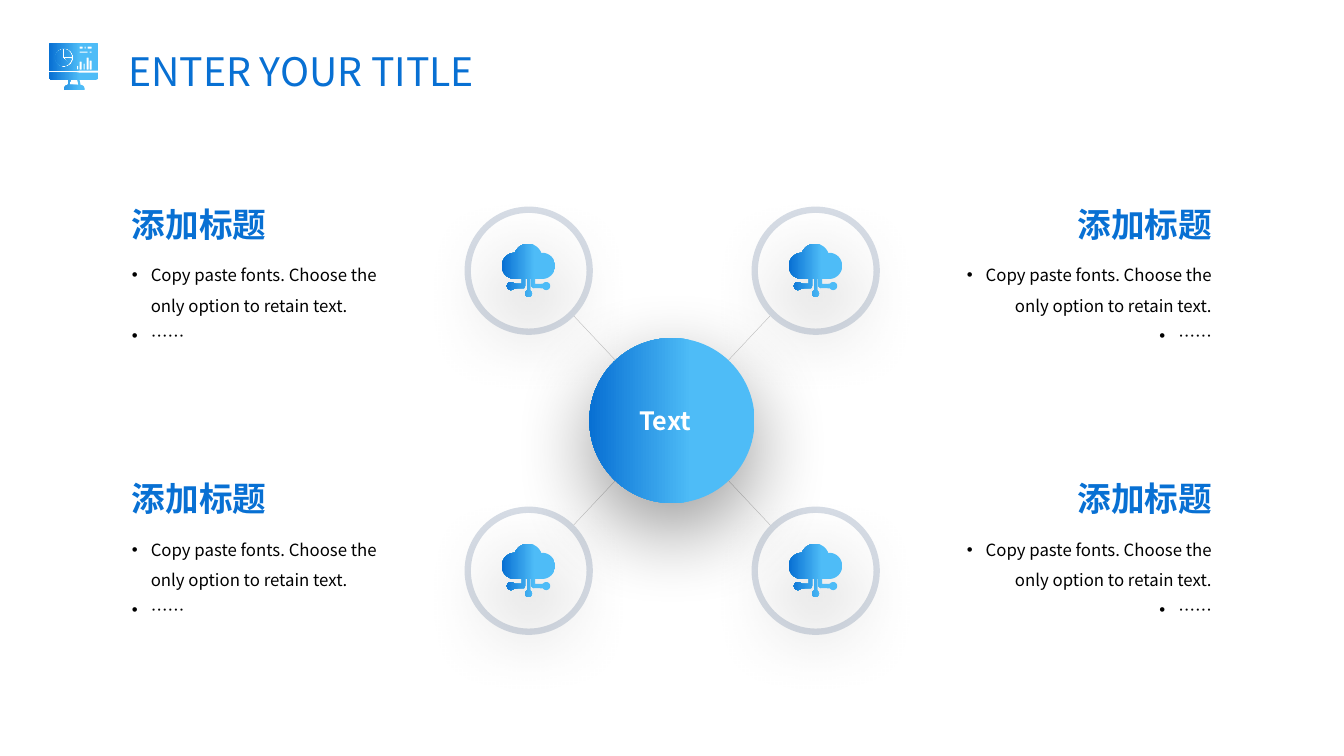
from dataclasses import dataclass
from itertools import product
from math import cos, radians, sin

from lxml.etree import SubElement
from pptx import Presentation
from pptx.dml.color import RGBColor
from pptx.enum.shapes import MSO_CONNECTOR, MSO_SHAPE
from pptx.enum.text import MSO_ANCHOR, PP_ALIGN
from pptx.oxml.ns import qn
from pptx.util import Pt


@dataclass(frozen=True)
class Theme:
    font: str = "Noto Sans CJK SC"
    blue: str = "0870D3"
    sky: str = "4EBCF7"
    ring: str = "D6DCE5"
    rule: str = "BFBFBF"
    white: str = "FFFFFF"
    black: str = "000000"
    title: int = 28
    head: int = 24
    hub: int = 18
    body: int = 12


T = Theme()
UNIT = 0.72  # icon grid step, in points


def rgb(code):
    return RGBColor.from_string(code)


def put(item, values):
    for name, value in values.items():
        setattr(item, name, value)


# Text
def write(frame, lines, size, color, bold=False, align=PP_ALIGN.LEFT,
          dots=False, **form):
    put(frame, form)
    for num, line in enumerate(lines):
        para = frame.paragraphs[0] if num == 0 else frame.add_paragraph()
        para.alignment = align
        if dots:
            props = para._p.get_or_add_pPr()
            props.set("marL", str(Pt(13.5)))
            props.set("indent", str(Pt(-13.5)))
            SubElement(props, qn("a:buFont"), typeface="Arial")
            SubElement(props, qn("a:buChar"), char="•")
            para.line_spacing = 1.5
        run = para.add_run()
        run.text = line
        put(run.font, {"size": Pt(size), "bold": bold, "name": T.font})
        run.font.color.rgb = rgb(color)
        SubElement(run._r.get_or_add_rPr(), qn("a:ea"), typeface=T.font)


def label(slide, box, *args, **form):
    area = slide.shapes.add_textbox(*map(Pt, box))
    write(area.text_frame, *args, **form)


# Fills and effects
def shade(shape, stop=0.38, end=1.0):
    shape.fill.gradient()
    shape.fill.gradient_angle = 180
    marks = zip(shape.fill.gradient_stops, (T.sky, T.blue), (stop, end))
    for mark, code, place in marks:
        mark.color.rgb = rgb(code)
        mark.position = place
    shape.line.fill.background()
    shape.shadow.inherit = False


def glow(shape):
    effects = shape._element.spPr.find(qn("a:effectLst"))
    outer = SubElement(effects, qn("a:outerShdw"), blurRad=str(Pt(60)),
                       dist=str(Pt(20)), dir="5400000", algn="t",
                       rotWithShape="0")
    tint = SubElement(outer, qn("a:srgbClr"), val=T.black)
    SubElement(tint, qn("a:alpha"), val="40000")


# Icon outlines, in grid steps
def arc(x, y, r, start, end, steps=24):
    turns = [radians(start + (end - start) * i / steps)
             for i in range(steps + 1)]
    return [(x + r * cos(a), y + r * sin(a)) for a in turns]


def block(left, top, right, bottom):
    return [(left, top), (right, top), (right, bottom), (left, bottom)]


CLOUD = [[
    *arc(40, 22, 13, 90, -90), *arc(26, 14, 14, -18, -160),
    *arc(13, 22, 13, -90, -270),
    (20, 35), (20, 40), *arc(9, 42, 4, -35, -325), (22, 44), (23, 42),
    (23, 35), (25, 35), *arc(26.5, 49.5, 3.5, -115, -425), (28, 35),
    (29, 35), (29, 42), (31, 44), *arc(44, 42, 4, 145, -145),
    (33, 40), (33, 35),
]]

BARS = [(27, 23, 29, 27), (30, 19, 32, 27), (34, 21, 35, 27),
        (37, 15, 39, 27), (40, 18, 42, 27)]
DASHES = [(30, 9, 38, 10), (40, 9, 42, 10), (30, 4, 33, 6),
          (35, 4, 36, 6), (38, 4, 42, 6)]
SCREEN = [
    [*arc(3, 3, 3, 180, 270), *arc(46, 3, 3, 270, 360), (49, 28), (0, 28)],
    [(0, 30), (49, 30), *arc(46, 34, 3, 0, 90), (30, 37), (31, 42),
     *arc(31, 46, 4, -90, 0), (35, 47), (15, 47), *arc(19, 46, 4, 180, 270),
     (19, 37), *arc(3, 34, 3, 90, 180)],
    [(21, 37), (20, 42), (29, 42), (28, 37)],
    arc(14.5, 15, 9.5, 0, 345),
    [(13.5, 15.5), *arc(14, 15, 8, 45, 265)],
    [(15, 14), *arc(14.5, 14.5, 7.5, -86, -4)],
    [(16, 16), *arc(14.5, 15, 7.5, 8, 42)],
    *[block(*box) for box in BARS + DASHES],
]


def icon(slide, left, top, paths):
    def spot(point):
        return Pt(left + point[0] * UNIT), Pt(top + point[1] * UNIT)

    first, *rest = [[spot(p) for p in path] for path in paths]
    pen = slide.shapes.build_freeform(*first[0], scale=1.0)
    pen.add_line_segments(first[1:], close=True)
    for path in rest:
        pen.move_to(*path[0])
        pen.add_line_segments(path[1:], close=True)
    shape = pen.convert_to_shape()
    shade(shape)
    return shape


# Regions
def header(slide, left, top):
    icon(slide, left, top, SCREEN)
    label(slide, (left + 49.5, top, 277, 41), ["ENTER YOUR TITLE"],
          T.title, T.blue, word_wrap=False)


def spokes(slide, left, top, wide, high):
    for start, end in ((top + high, top), (top, top + high)):
        line = slide.shapes.add_connector(
            MSO_CONNECTOR.STRAIGHT, Pt(left), Pt(start),
            Pt(left + wide), Pt(end))
        line.line.color.rgb = rgb(T.rule)
        line.line.width = Pt(0.25)
        SubElement(line._element.spPr, qn("a:effectLst"))


def node(slide, left, top, size):
    disc = slide.shapes.add_shape(
        MSO_SHAPE.OVAL, *map(Pt, (left, top, size, size)))
    disc.shadow.inherit = False
    disc.fill.solid()
    disc.fill.fore_color.rgb = rgb(T.white)
    disc.line.color.rgb = rgb(T.ring)
    disc.line.width = Pt(4.5)
    glow(icon(slide, left + 24.4, top + 24.3, CLOUD))


def hub(slide, left, top, size):
    disc = slide.shapes.add_shape(
        MSO_SHAPE.OVAL, *map(Pt, (left, top, size, size)))
    shade(disc)
    glow(disc)
    write(disc.text_frame, ["Text"], T.hub, T.white, True, PP_ALIGN.RIGHT,
          vertical_anchor=MSO_ANCHOR.MIDDLE, margin_right=Pt(28.1))


def note(slide, left, top, wide, align):
    label(slide, (left, top, wide, 31.9), ["添加标题"], T.head, T.blue, True,
          align, vertical_anchor=MSO_ANCHOR.BOTTOM, word_wrap=False)
    label(slide, (left, top + 32.4, wide, 77),
          ["Copy paste fonts. Choose the only option to retain text.", "……"],
          T.body, T.black, False, align, True, word_wrap=True)


def main():
    deck = Presentation()
    put(deck, {"slide_width": Pt(960), "slide_height": Pt(540)})
    slide = deck.slides.add_slide(deck.slide_layouts[6])
    spokes(slide, 408.3, 224, 143.3, 152.6)
    for row, col in product(range(2), repeat=2):
        node(slide, 334.1 + 205 * col, 149.8 + 214.3 * row, 87.1)
    hub(slide, 421, 241.4, 118)
    sides = (PP_ALIGN.LEFT, PP_ALIGN.RIGHT)
    for row, col in product(range(2), repeat=2):
        note(slide, 87.1 + 571 * col, 146.2 + 195.9 * row, 214.6, sides[col])
    header(slide, 35.2, 30.4)
    deck.save("out.pptx")


if __name__ == "__main__":
    main()
